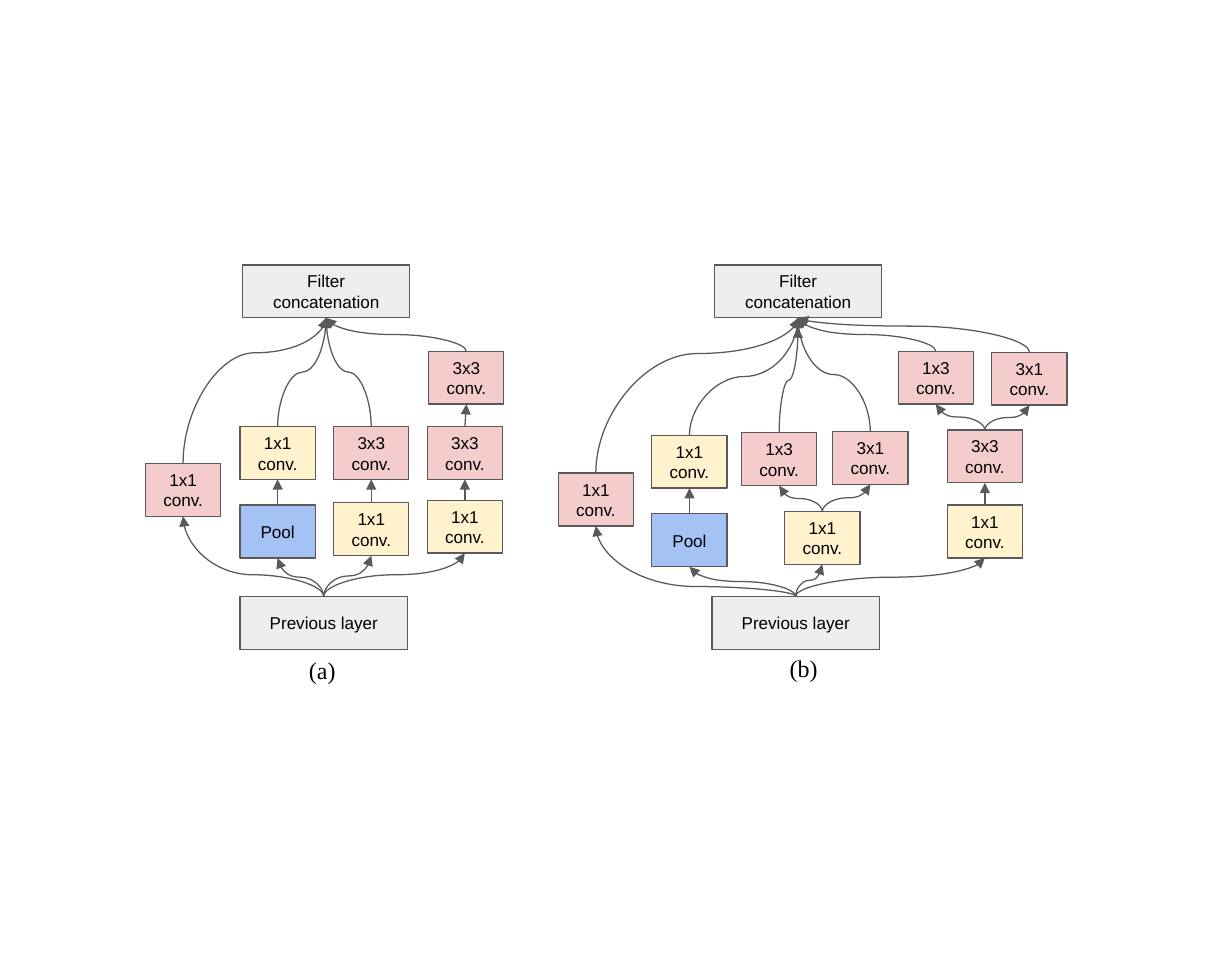
from dataclasses import dataclass

from lxml import etree
from pptx import Presentation
from pptx.dml.color import RGBColor
from pptx.enum.shapes import MSO_CONNECTOR, MSO_SHAPE
from pptx.enum.text import MSO_ANCHOR, PP_ALIGN
from pptx.oxml.ns import qn
from pptx.util import Cm, Pt

RECTANGLE = MSO_SHAPE.RECTANGLE
CURVE, STRAIGHT = MSO_CONNECTOR.CURVE, MSO_CONNECTOR.STRAIGHT
CENTER, LEFT = PP_ALIGN.CENTER, PP_ALIGN.LEFT
MIDDLE, TOP = MSO_ANCHOR.MIDDLE, MSO_ANCHOR.TOP
TOP_SITE, BOTTOM_SITE = 0, 2


@dataclass(frozen=True)
class Theme:
    layer: str = "EEEEEE"
    conv: str = "F4CCCC"
    reduce: str = "FFF2CC"
    pool: str = "A4C2F4"
    outline: str = "595959"
    ink: str = "000000"
    box_font: str = "Arial"
    box_size: int = 10
    caption_font: str = "Times New Roman"
    caption_size: int = 14
    line_width: float = 0.75


THEME = Theme()
BLOCK_HEIGHT, BLOCK_WIDTH, LAYER_WIDTH = 1.09, 1.55, 3.45
INSET = 0.25

# Block: name -> (text, fill, left, top) in cm
# Link: (from, to), then optionally the bend (share of the rise before the turn)
# and the gap in cm left below the target
MODULE_A = {
    "caption": ("(a)", 6.12, 13.26),
    "blocks": {
        "previous": ("Previous layer", THEME.layer, 4.95, 12.29),
        "filter": ("Filter concatenation", THEME.layer, 5.00, 5.46),
        "single": ("1x1 conv.", THEME.conv, 3.00, 9.55),
        "pool": ("Pool", THEME.pool, 4.95, 10.41),
        "pool_conv": ("1x1 conv.", THEME.reduce, 4.95, 8.79),
        "short_reduce": ("1x1 conv.", THEME.reduce, 6.88, 10.36),
        "short_conv": ("3x3 conv.", THEME.conv, 6.88, 8.79),
        "long_reduce": ("1x1 conv.", THEME.reduce, 8.81, 10.31),
        "long_conv": ("3x3 conv.", THEME.conv, 8.81, 8.79),
        "long_last": ("3x3 conv.", THEME.conv, 8.84, 7.24),
    },
    "links": [
        ("previous", "single", 0.27),
        ("previous", "pool"),
        ("previous", "short_reduce"),
        ("previous", "long_reduce"),
        ("pool", "pool_conv"),
        ("short_reduce", "short_conv"),
        ("long_reduce", "long_conv"),
        ("long_conv", "long_last"),
        ("single", "filter", 0.76),
        ("pool_conv", "filter"),
        ("short_conv", "filter"),
        ("long_last", "filter"),
    ],
}
MODULE_B = {
    "caption": ("(b)", 16.03, 13.21),
    "blocks": {
        "previous": ("Previous layer", THEME.layer, 14.68, 12.29),
        "filter": ("Filter concatenation", THEME.layer, 14.73, 5.46),
        "single": ("1x1 conv.", THEME.conv, 11.51, 9.75),
        "pool": ("Pool", THEME.pool, 13.44, 10.59),
        "pool_conv": ("1x1 conv.", THEME.reduce, 13.44, 8.97),
        "short_reduce": ("1x1 conv.", THEME.reduce, 16.18, 10.54),
        "short_row": ("1x3 conv.", THEME.conv, 15.29, 8.92),
        "short_column": ("3x1 conv.", THEME.conv, 17.17, 8.89),
        "long_reduce": ("1x1 conv.", THEME.reduce, 19.53, 10.41),
        "long_conv": ("3x3 conv.", THEME.conv, 19.53, 8.86),
        "long_row": ("1x3 conv.", THEME.conv, 18.52, 7.24),
        "long_column": ("3x1 conv.", THEME.conv, 20.45, 7.26),
    },
    "links": [
        ("previous", "single", 0.14),
        ("previous", "pool"),
        ("previous", "short_reduce"),
        ("previous", "long_reduce"),
        ("pool", "pool_conv"),
        ("short_reduce", "short_row"),
        ("short_reduce", "short_column"),
        ("long_reduce", "long_conv"),
        ("long_conv", "long_row"),
        ("long_conv", "long_column"),
        ("single", "filter", 0.77),
        ("pool_conv", "filter"),
        ("short_row", "filter", 0.5, 0.2),
        ("short_column", "filter"),
        ("long_row", "filter"),
        ("long_column", "filter", 0.76),
    ],
}


class Diagram:
    def __init__(self, slide, theme):
        self.slide = slide
        self.theme = theme

    def label(self, shape, text, font, size, align, anchor):
        frame = shape.text_frame
        frame.text = text
        frame.word_wrap = True
        frame.vertical_anchor = anchor
        frame.margin_left = frame.margin_right = Cm(INSET)
        frame.margin_top = frame.margin_bottom = Cm(INSET)
        paragraph = frame.paragraphs[0]
        paragraph.alignment = align
        for run in paragraph.runs:
            run.font.name = font
            run.font.size = Pt(size)
            run.font.color.rgb = RGBColor.from_string(self.theme.ink)

    def outline(self, line):
        line.color.rgb = RGBColor.from_string(self.theme.outline)
        line.width = Pt(self.theme.line_width)

    def block(self, text, fill, left, top):
        width = LAYER_WIDTH if fill == self.theme.layer else BLOCK_WIDTH
        shape = self.slide.shapes.add_shape(
            RECTANGLE, Cm(left), Cm(top), Cm(width), Cm(BLOCK_HEIGHT))
        shape.shadow.inherit = False
        shape.fill.solid()
        shape.fill.fore_color.rgb = RGBColor.from_string(fill)
        self.outline(shape.line)
        self.label(shape, text, self.theme.box_font, self.theme.box_size, CENTER, MIDDLE)
        return shape

    def caption(self, text, left, top):
        box = self.slide.shapes.add_textbox(Cm(left), Cm(top), Cm(1.19), Cm(1.3))
        self.label(box, text, self.theme.caption_font, self.theme.caption_size, LEFT, TOP)

    def link(self, lower, upper, bend=0.5, gap=0):
        """Arrow from the top of lower to the bottom of upper, or to a gap below it."""
        start_x, start_y = lower.left + lower.width // 2, lower.top
        end_x = upper.left + upper.width // 2
        end_y = upper.top + upper.height + Cm(gap)
        shift, rise = end_x - start_x, start_y - end_y
        kind = STRAIGHT if abs(shift) < Cm(0.1) else CURVE
        arrow = self.slide.shapes.add_connector(kind, start_x, start_y, end_x, end_y)
        arrow.begin_connect(lower, TOP_SITE)
        if not gap:
            arrow.end_connect(upper, BOTTOM_SITE)
        if kind == CURVE:
            self.turn_upright(arrow, (start_x + end_x) // 2, (start_y + end_y) // 2,
                              shift, rise, bend)
        self.outline(arrow.line)
        properties = arrow._element.spPr
        etree.SubElement(properties.find(qn("a:ln")), qn("a:tailEnd"), type="triangle")
        etree.SubElement(properties, qn("a:effectLst"))

    def turn_upright(self, arrow, center_x, center_y, shift, rise, bend):
        """Lay the curve on its side and rotate it, so that it leaves and arrives vertically."""
        side = 1 if shift > 0 else -1
        arrow.begin_x = center_x - side * rise // 2
        arrow.end_x = center_x + side * rise // 2
        arrow.begin_y = center_y - abs(shift) // 2
        arrow.end_y = center_y + abs(shift) // 2
        arrow.rotation = 270 if side > 0 else 90
        guides = arrow._element.spPr.find(qn("a:prstGeom")).find(qn("a:avLst"))
        etree.SubElement(guides, qn("a:gd"), name="adj1", fmla=f"val {round(bend * 100000)}")

    def module(self, caption, blocks, links):
        shapes = {name: self.block(*block) for name, block in blocks.items()}
        for lower, upper, *route in links:
            self.link(shapes[lower], shapes[upper], *route)
        self.caption(*caption)


def main():
    presentation = Presentation()
    presentation.slide_width, presentation.slide_height = Cm(25.4), Cm(19.99)
    slide = presentation.slides.add_slide(presentation.slide_layouts[6])
    diagram = Diagram(slide, THEME)
    for module in (MODULE_A, MODULE_B):
        diagram.module(**module)
    presentation.save("out.pptx")


if __name__ == "__main__":
    main()
